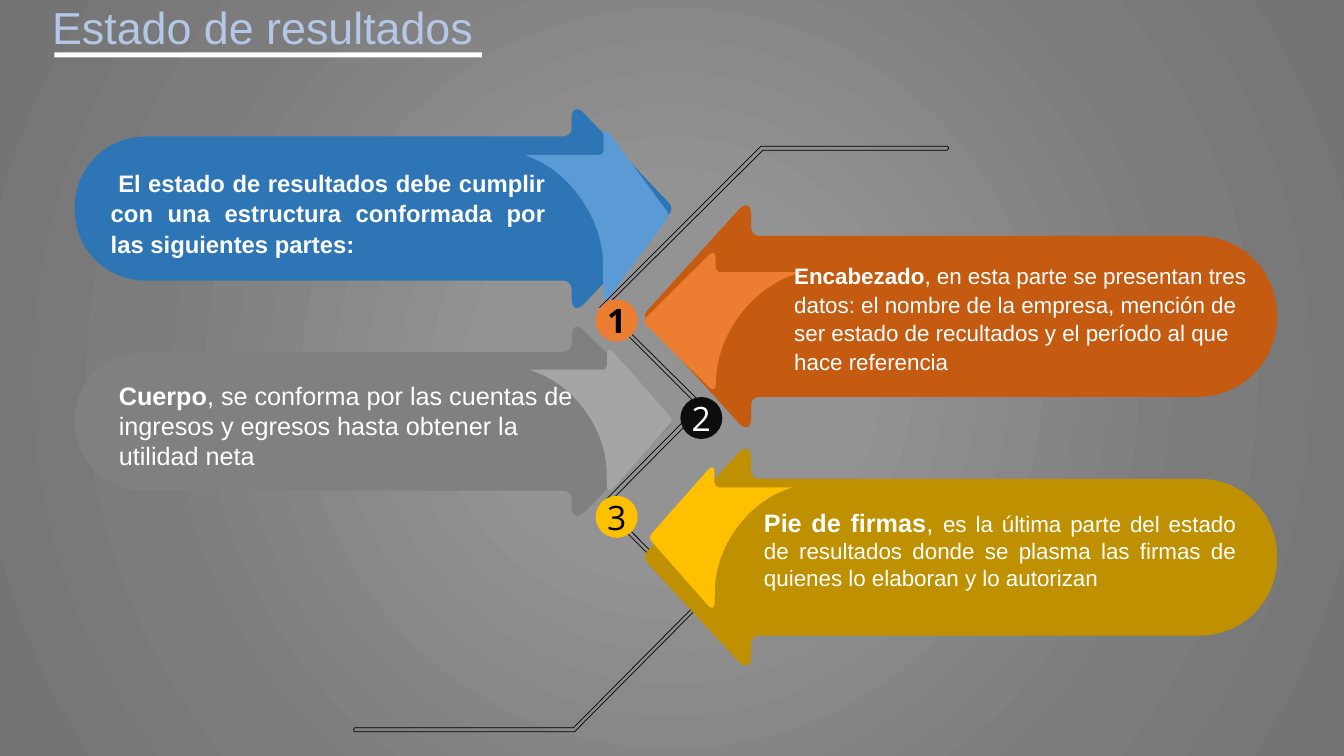
from math import dist
from pptx import Presentation
from pptx.dml.color import RGBColor as Rgb
from pptx.enum.shapes import MSO_SHAPE as Kind
from pptx.enum.text import MSO_ANCHOR as Anchor, PP_ALIGN as Align
from pptx.oxml import parse_xml
from pptx.oxml.ns import nsdecls, qn
from pptx.util import Pt

HEX = {
    "white": "FFFFFF", "black": "000000", "ink": "0D0D0D", "title": "B4C7E7",
    "blue": "2E75B6", "sky": "5B9BD5", "rust": "C55A11", "orange": "ED7D31",
    "gray": "808080", "silver": "A5A5A5", "gold": "BF9000", "yellow": "FFC000",
}
GLOW = [(0, "939393"), (23, "939393"), (69, "7C7C7C"), (97, "747474")]
ZIGZAG = [
    (410.4, 522.7, 0), (252.7, 522.7, 1.4), (252.7, 519.8, 1.4),
    (409.7, 519.8, 0), (498.2, 430.6, 0), (428.4, 361.4, 0),
    (499, 290.2, 0), (428.4, 219.6, 0), (543.6, 104.4, 0),
    (677.5, 104.4, 1.4), (677.5, 107.3, 1.4), (545, 107.3, 0),
    (432, 219.6, 0), (503.3, 290.2, 0), (432.7, 361.4, 0),
    (501.8, 430.6, 0), (410.4, 522.7, 0),
]
SIDES = {"left": (481.7, 408.3, 53.3), "right": (458.6, 536.5, 912.3)}
ARROWS = [
    ("right", "gold", (398, 84, 56), "yellow", (463, 384, 103, 53.6), None),
    ("left", "gray", (301, 74, 49.5), "silver", (481, 300, -103, 53.6),
     ("3", 425.5, 354.2, "yellow", "black", False)),
    ("right", "rust", (226, 86, 57.5), "orange", (459, 229.3, 113.5, 52),
     ("2", 486, 283.6, "ink", "white", False)),
    ("left", "blue", (149, 77.5, 51.5), "sky", (478.5, 153.7, -103, 64),
     ("1", 425.5, 214, "orange", "black", True)),
]
TEXTS = [
    ((72, 115.2, 324.7, 73.4), Align.JUSTIFY, 1.07, "white", [
        (" ", 17, False),
        ("El estado de resultados debe cumplir con una estructura "
         "conformada por las siguientes partes:", 17, True)]),
    ((560.2, 182.2, 351.4, 90), Align.LEFT, 1.07, "white", [
        ("Encabezado", 16, True),
        (", en esta parte se presentan tres datos: el nombre de la empresa, "
         "mención de ser estado de recultados y el período al que hace "
         "referencia", 16, False)]),
    ((77.8, 267.8, 354.2, 72.7), Align.LEFT, 1, "white", [
        ("Cuerpo", 18, True),
        (", se conforma por las cuentas de ingresos y egresos hasta obtener "
         "la utilidad neta", 18, False)]),
    ((538.6, 358.6, 351.4, 67.7), Align.JUSTIFY, 1, "white", [
        ("Pie de firmas", 18, True), (", ", 18, False),
        ("es la última parte del estado de resultados donde se plasma las "
         "firmas de quienes lo elaboran y lo autorizan", 16, False)]),
    ((30.2, -3.6, 326.9, 46), Align.LEFT, 1, "title", [
        ("Estado de resultados", 32, False)]),
]
BADGE = 30
STEPS = 12
PULL = 0.56


def rgb(name):
    return Rgb.from_string(HEX[name])


def toward(a, b, t):
    return a[0] + (b[0] - a[0]) * t, a[1] + (b[1] - a[1]) * t


def bend(corners):
    out = []
    for i, (x, y, r) in enumerate(corners):
        mid = x, y
        if not r:
            out.append(mid)
            continue
        prev, nxt = corners[i - 1][:2], corners[(i + 1) % len(corners)][:2]
        a = toward(mid, prev, r / dist(mid, prev))
        d = toward(mid, nxt, r / dist(mid, nxt))
        b, c = toward(a, mid, PULL), toward(d, mid, PULL)
        for n in range(STEPS + 1):
            t = n / STEPS
            ab, bc, cd = toward(a, b, t), toward(b, c, t), toward(c, d, t)
            out.append(toward(toward(ab, bc, t), toward(bc, cd, t), t))
    return out


def outline(corners):
    pts = [(Pt(x), Pt(y)) for x, y in bend(corners)]
    pen = shapes.build_freeform(*pts[0])
    pen.add_line_segments(pts[1:], close=True)
    shape = pen.convert_to_shape()
    shape.shadow.inherit = False
    return shape


def paint(shape, color):
    shape.shadow.inherit = False
    shape.fill.solid()
    shape.fill.fore_color.rgb = rgb(color)
    shape.line.fill.background()


def banner(side, mid, head, body):
    tip, back, tail = SIDES[side]
    return [
        (tip, mid, 5.4), (back, mid - head, 13.5), (back, mid - body, 6),
        (tail, mid - body, body - 0.5), (tail, mid + body, body - 0.5),
        (back, mid + body, 6), (back, mid + head, 13.5),
    ]


def flap(tip, mid, wide, half):
    plan = [
        (0, 0, 3.6), (0.46, -1, 7), (0.46, -0.67, 3.6), (1, -0.67, 0),
        (0.47, -0.315, 0.52 * abs(wide)), (0.46, 1, 7),
    ]
    return [(tip + x * wide, mid + y * half, r) for x, y, r in plan]


def write(para, text, size, color, bold, face):
    run = para.add_run()
    run.text = text
    run.font.name = face
    run.font.size = Pt(size)
    run.font.bold = bold
    run.font.color.rgb = rgb(color)


def badge(text, x, y, fill, ink, bold):
    dot = shapes.add_shape(Kind.OVAL, Pt(x), Pt(y), Pt(BADGE), Pt(BADGE))
    paint(dot, fill)
    frame = dot.text_frame
    frame.word_wrap = False
    frame.vertical_anchor = Anchor.MIDDLE
    para = frame.paragraphs[0]
    para.alignment = Align.CENTER
    write(para, text, 24, ink, bold, "Open Sans")


prs = Presentation()
prs.slide_width, prs.slide_height = Pt(960), Pt(540)
slide = prs.slides.add_slide(prs.slide_layouts[6])
shapes = slide.shapes

slide.background.fill.solid()
flat = slide.element.find(".//" + qn("a:solidFill"))
stops = "".join(
    f'<a:gs pos="{pos * 1000}"><a:srgbClr val="{val}"/></a:gs>'
    for pos, val in GLOW)
flat.getparent().replace(flat, parse_xml(
    f'<a:gradFill {nsdecls("a")} rotWithShape="1"><a:gsLst>{stops}</a:gsLst>'
    '<a:path path="circle"><a:fillToRect l="50000" t="50000" r="50000" '
    'b="50000"/></a:path></a:gradFill>'))

track = outline(ZIGZAG[:-1])
track.fill.background()
track.line.color.rgb = rgb("black")
track.line.width = Pt(0.5)

for side, dark, size, light, fold, mark in ARROWS:
    paint(outline(banner(side, *size)), dark)
    paint(outline(flap(*fold)), light)
    if mark:
        badge(*mark)

for box, align, space, color, runs in TEXTS:
    frame = shapes.add_textbox(*map(Pt, box)).text_frame
    frame.word_wrap = True
    para = frame.paragraphs[0]
    para.alignment = align
    para.line_spacing = space
    for text, size, bold in runs:
        write(para, text, size, color, bold, "Arial")

rule = shapes.add_shape(Kind.RECTANGLE, Pt(38.9), Pt(37.4), Pt(305.3), Pt(3.6))
paint(rule, "white")

prs.save("out.pptx")
